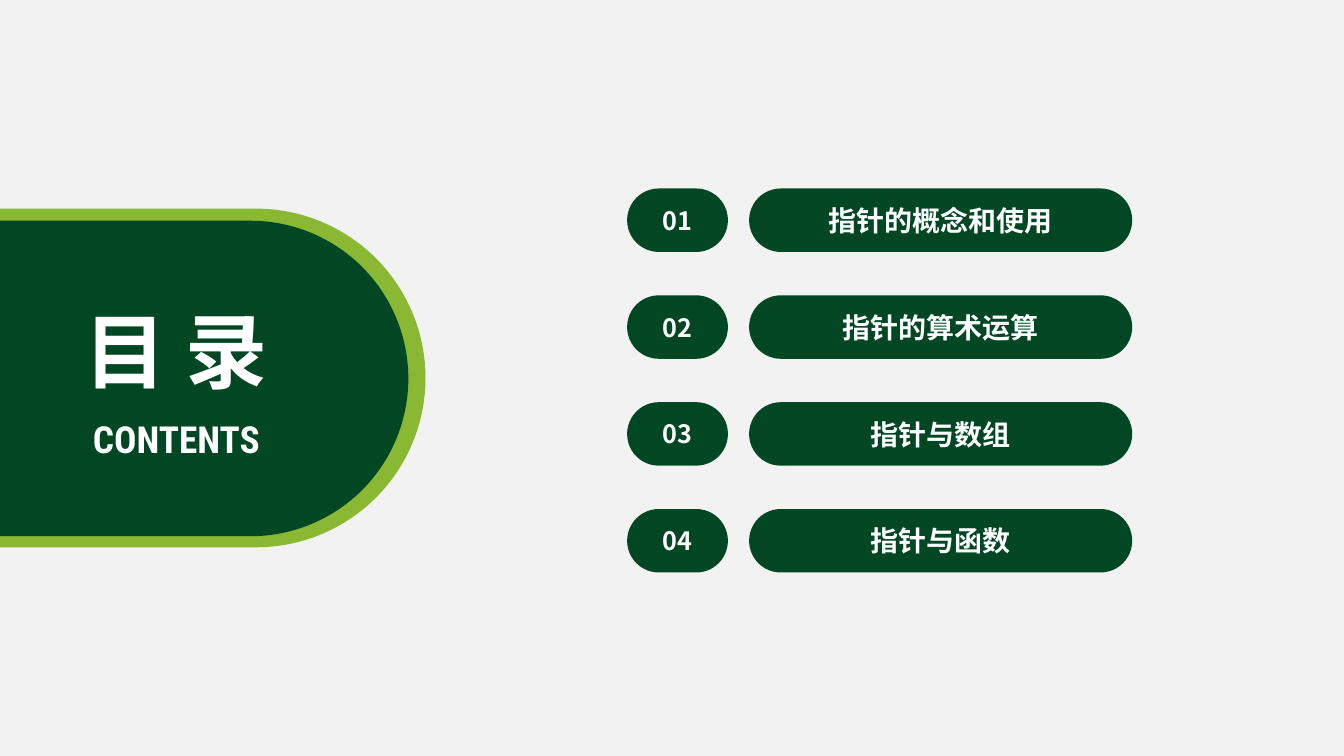
from dataclasses import dataclass

from lxml import etree
from pptx import Presentation
from pptx.dml.color import RGBColor
from pptx.enum.shapes import MSO_SHAPE
from pptx.enum.text import MSO_ANCHOR, PP_ALIGN
from pptx.oxml.ns import qn
from pptx.shapes.autoshape import Shape
from pptx.slide import Slide
from pptx.util import Inches, Pt

ROUNDED = MSO_SHAPE.ROUNDED_RECTANGLE
MIDDLE = MSO_ANCHOR.MIDDLE
TOP = MSO_ANCHOR.TOP
CENTER = PP_ALIGN.CENTER

COLORS = {
    "backdrop": "F2F2F2",
    "lime": "8AB833",
    "forest": "014723",
    "white": "FFFFFF",
}
CJK_FONT = "Noto Sans CJK SC"
LATIN_FONT = "Roboto Condensed"

FIRST_ROW_TOP = 1.87
ROW_PITCH = 1.06
ROW_HEIGHT = 0.63


@dataclass(frozen=True)
class Box:
    left: float
    top: float
    width: float
    height: float

    def lengths(self) -> tuple[Inches, Inches, Inches, Inches]:
        return Inches(self.left), Inches(self.top), Inches(self.width), Inches(self.height)


@dataclass(frozen=True)
class Pill:
    box: Box
    color: str


@dataclass(frozen=True)
class Label:
    text: str
    size: float
    font: str = CJK_FONT


@dataclass(frozen=True)
class Heading:
    box: Box
    label: Label


PANEL = [
    Pill(Box(-1.96, 2.07, 6.18, 3.36), "lime"),
    Pill(Box(-1.7, 2.19, 5.75, 3.13), "forest"),
]
HEADINGS = [
    Heading(Box(0.62, 4.08, 2.26, 0.55), Label("CONTENTS", 26.6, LATIN_FONT)),
    Heading(Box(0.7, 2.93, 2.09, 1.09), Label("目 录", 58.6)),
]
CHAPTERS = ["指针的概念和使用", "指针的算术运算", "指针与数组", "指针与函数"]


def rgb(color: str) -> RGBColor:
    return RGBColor.from_string(COLORS[color])


def write_label(holder: Shape, label: Label, anchor: MSO_ANCHOR) -> None:
    frame = holder.text_frame
    frame.vertical_anchor = anchor
    frame.text = label.text
    paragraph = frame.paragraphs[0]
    paragraph.alignment = CENTER
    for run in paragraph.runs:
        run.font.size = Pt(label.size)
        run.font.bold = True
        run.font.color.rgb = rgb("white")
        run.font.name = label.font
        east_asian = etree.SubElement(run._r.get_or_add_rPr(), qn("a:ea"))
        east_asian.set("typeface", label.font)


def draw_pill(slide: Slide, pill: Pill) -> Shape:
    shape = slide.shapes.add_shape(ROUNDED, *pill.box.lengths())
    shape.adjustments[0] = 0.5
    shape.shadow.inherit = False
    shape.fill.solid()
    shape.fill.fore_color.rgb = rgb(pill.color)
    shape.line.fill.background()
    return shape


def draw_heading(slide: Slide, heading: Heading) -> None:
    holder = slide.shapes.add_textbox(*heading.box.lengths())
    holder.text_frame.word_wrap = False
    write_label(holder, heading.label, TOP)


def draw_chapter(slide: Slide, index: int, title: str) -> None:
    top = FIRST_ROW_TOP + index * ROW_PITCH
    number_pill = Pill(Box(6.22, top, 1, ROW_HEIGHT), "forest")
    title_pill = Pill(Box(7.43, top, 3.8, ROW_HEIGHT), "forest")
    write_label(draw_pill(slide, number_pill), Label(f"{index + 1:02d}", 18), MIDDLE)
    write_label(draw_pill(slide, title_pill), Label(title, 20), MIDDLE)


def main() -> None:
    deck = Presentation()
    deck.slide_width = Inches(13.33)
    deck.slide_height = Inches(7.5)
    slide = deck.slides.add_slide(deck.slide_layouts[6])
    slide.background.fill.solid()
    slide.background.fill.fore_color.rgb = rgb("backdrop")

    for pill in PANEL:
        draw_pill(slide, pill)
    for index, title in enumerate(CHAPTERS):
        draw_chapter(slide, index, title)
    for heading in HEADINGS:
        draw_heading(slide, heading)

    deck.save("out.pptx")


if __name__ == "__main__":
    main()
